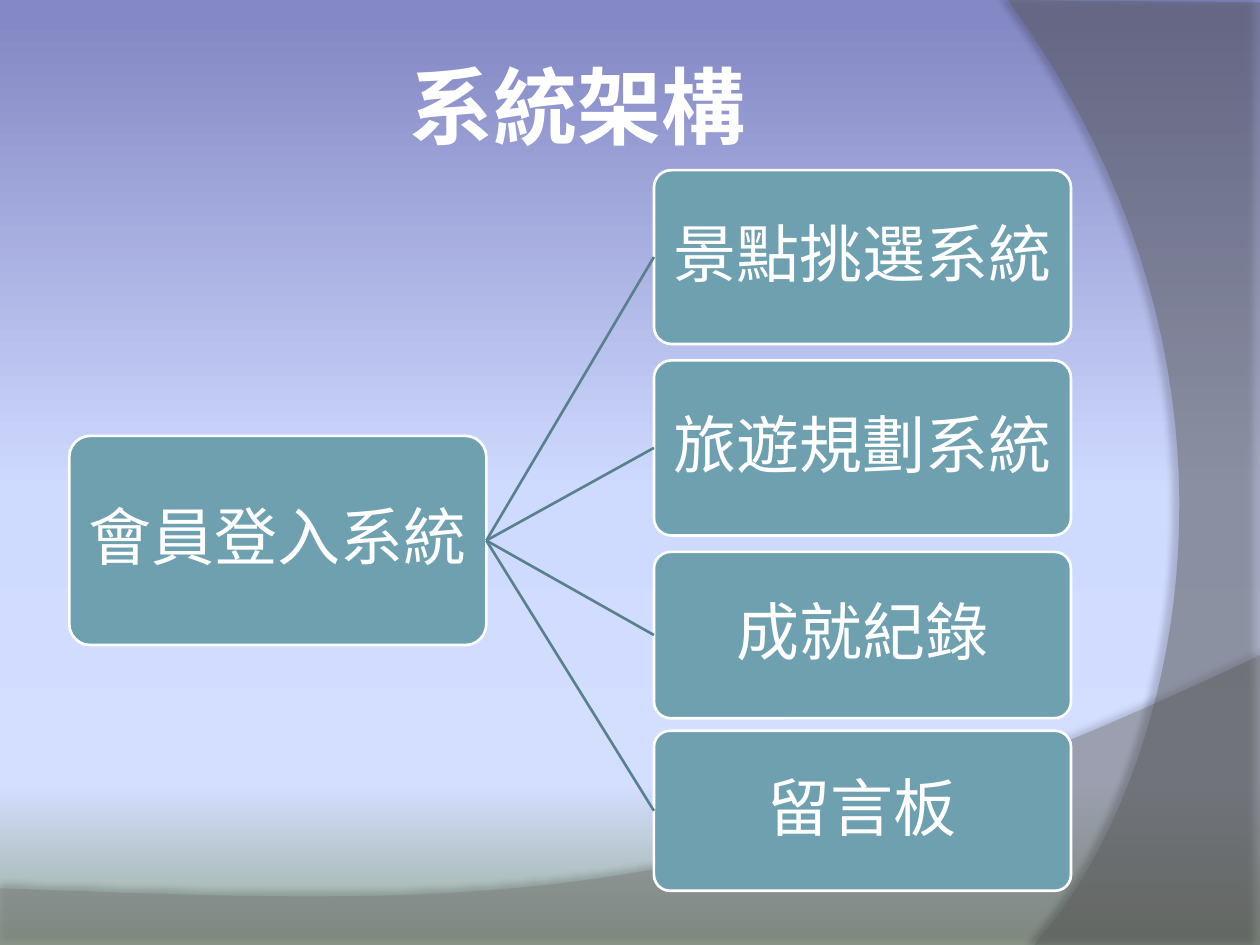
from lxml.etree import SubElement
from pptx import Presentation
from pptx.dml.color import RGBColor
from pptx.enum.shapes import MSO_CONNECTOR, MSO_SHAPE
from pptx.enum.text import MSO_ANCHOR, PP_ALIGN
from pptx.oxml.ns import qn
from pptx.util import Inches, Pt

COLORS = {"white": "FFFFFF", "box": "6EA0B0", "branch": "58808D", "ground": "7F7F7F",
          "sweep": "5E5E5E", "shadow": "000000"}
SKY = [(2, "8488C4"), (52, "CFDAFF"), (83, "D4DEFF"), (100, "96AB94")]
LEFT_SITE, RIGHT_SITE = 1, 3


def curve(start, control_1, control_2, end, steps=40):
    """Return the points of a cubic curve after its start."""
    points = []
    for step in range(1, steps + 1):
        t = step / steps
        weights = ((1 - t) ** 3, 3 * t * (1 - t) ** 2, 3 * t * t * (1 - t), t ** 3)
        points.append(tuple(sum(w * v for w, v in zip(weights, axis))
                            for axis in zip(start, control_1, control_2, end)))
    return points


class Diagram:
    """Draws styled elements on a slide laid out in 100 columns and 75 rows."""

    def __init__(self, presentation):
        self.unit = presentation.slide_width / 100
        self.slide = presentation.slides.add_slide(presentation.slide_layouts[6])
        self.shapes = self.slide.shapes

    def grid(self, *cells):
        return [round(cell * self.unit) for cell in cells]

    def color(self, name):
        return RGBColor.from_string(COLORS[name])

    def background(self, stops):
        fill = self.slide.background.fill
        fill.gradient()
        fill.gradient_angle = 270
        stop_list = next(self.slide._element.iter(qn("a:gsLst")))
        for old_stop in list(stop_list):
            stop_list.remove(old_stop)
        for percent, value in stops:
            stop = SubElement(stop_list, qn("a:gs"), pos=str(percent * 1000))
            SubElement(stop, qn("a:srgbClr"), val=value)

    def veil(self, points, color, opacity, shade, distance, direction):
        start, *rest = [self.grid(*point) for point in points]
        builder = self.shapes.build_freeform(*start)
        builder.add_line_segments(rest, close=True)
        veil = builder.convert_to_shape()
        veil.fill.solid()
        veil.fill.fore_color.rgb = self.color(color)
        veil.line.fill.background()
        veil.shadow.inherit = False
        properties = veil._element.spPr
        tint = properties.find(qn("a:solidFill"))[0]
        SubElement(tint, qn("a:alpha"), val=str(opacity * 1000))
        shadow = SubElement(properties.find(qn("a:effectLst")), qn("a:outerShdw"),
                            blurRad=str(Pt(4)), dist=str(Pt(distance)),
                            dir=str(direction * 60000), algn="ctr", rotWithShape="0")
        shadow_color = SubElement(shadow, qn("a:srgbClr"), val=COLORS["shadow"])
        SubElement(shadow_color, qn("a:alpha"), val=str(shade * 1000))

    def label(self, shape, text, size, font, inset, bold=False, spacing=1.0):
        frame = shape.text_frame
        frame.word_wrap = True
        frame.vertical_anchor = MSO_ANCHOR.MIDDLE
        frame.margin_left = frame.margin_right = Inches(inset)
        frame.margin_top = frame.margin_bottom = Inches(inset)
        paragraph = frame.paragraphs[0]
        paragraph.text = text
        paragraph.alignment = PP_ALIGN.CENTER
        paragraph.line_spacing = spacing
        paragraph.font.size = Pt(size)
        paragraph.font.name = font
        paragraph.font.bold = bold
        paragraph.font.color.rgb = self.color("white")

    def title(self, text, *cells):
        heading = self.shapes.add_textbox(*self.grid(*cells))
        self.label(heading, text, 48, "Calibri", 0.05, bold=True)

    def box(self, text, *cells):
        box = self.shapes.add_shape(MSO_SHAPE.ROUNDED_RECTANGLE, *self.grid(*cells))
        box.adjustments[0] = 0.1
        box.shadow.inherit = False
        box.fill.solid()
        box.fill.fore_color.rgb = self.color("box")
        box.line.color.rgb = self.color("white")
        box.line.width = Pt(1.5)
        self.label(box, text, 36, "Noto Sans CJK SC", 0.08, spacing=0.9)
        return box

    def branch(self, parent, child):
        branch = self.shapes.add_connector(MSO_CONNECTOR.STRAIGHT, 0, 0, 0, 0)
        branch.begin_connect(parent, RIGHT_SITE)
        branch.end_connect(child, LEFT_SITE)
        branch.line.color.rgb = self.color("branch")
        branch.line.width = Pt(1.5)
        SubElement(branch._element.spPr, qn("a:effectLst"))


def main():
    presentation = Presentation()
    presentation.slide_width, presentation.slide_height = Inches(10), Inches(7.5)
    diagram = Diagram(presentation)
    diagram.background(SKY)

    ground = [(0, 70.5), (0, 75.1), (100, 75.1), (100, 52)]
    ground += curve(ground[-1], (55.9, 72.9), (39.1, 71.9), ground[0])
    diagram.veil(ground, "ground", 45, 35, 3.5, 270)
    sweep = [(100, 0.2), (100, 75), (82.1, 75)]
    sweep += curve(sweep[-1], (93.5, 61.9), (101.8, 30), (80, 0))
    diagram.veil(sweep, "sweep", 40, 45, 4, 180)

    diagram.title("系統架構", 5, 2.1, 81.7, 12.5)
    box_width = 33.1
    login = diagram.box("會員登入系統", 5.5, 34.6, box_width, 16.6)
    subsystems = [("景點挑選系統", 13.5, 13.8), ("旅遊規劃系統", 28.6, 13.9),
                  ("成就紀錄", 43.8, 13.2), ("留言板", 58, 12.7)]
    for name, top, height in subsystems:
        subsystem = diagram.box(name, 51.9, top, box_width, height)
        diagram.branch(login, subsystem)

    presentation.save("out.pptx")


if __name__ == "__main__":
    main()
